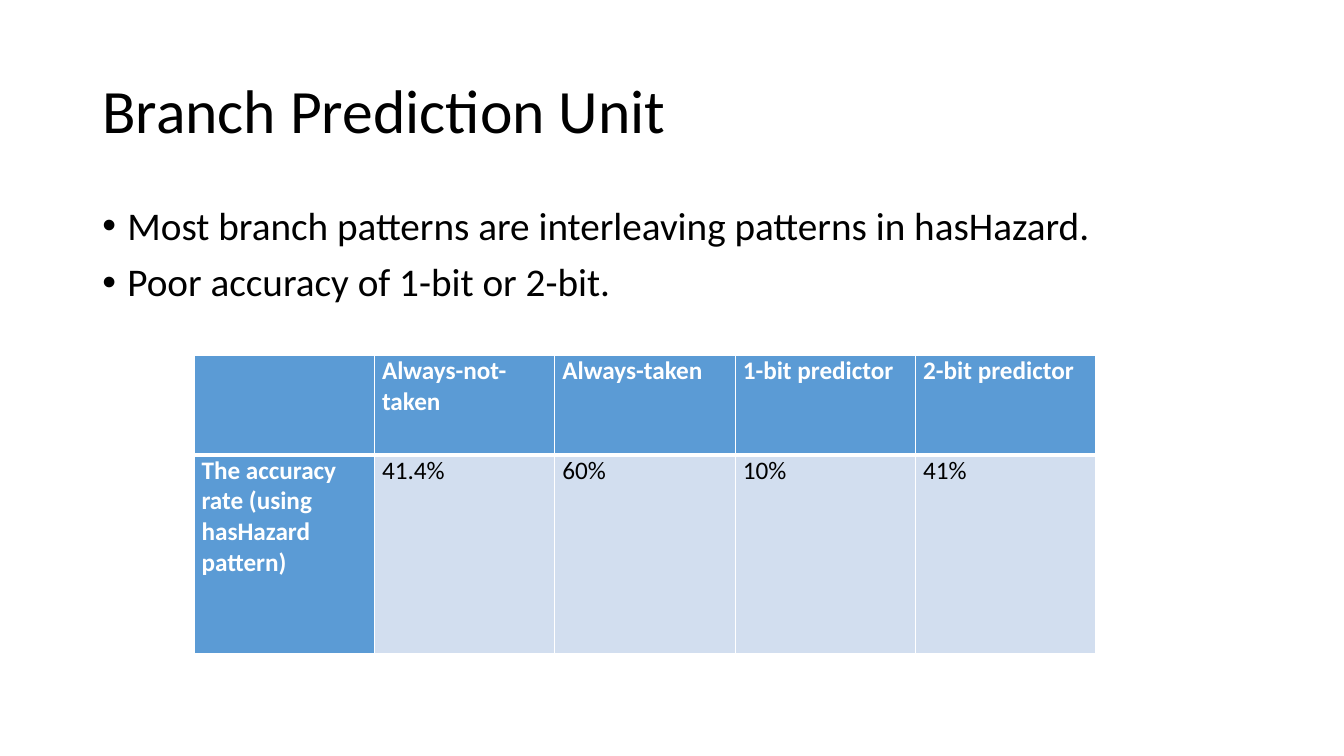
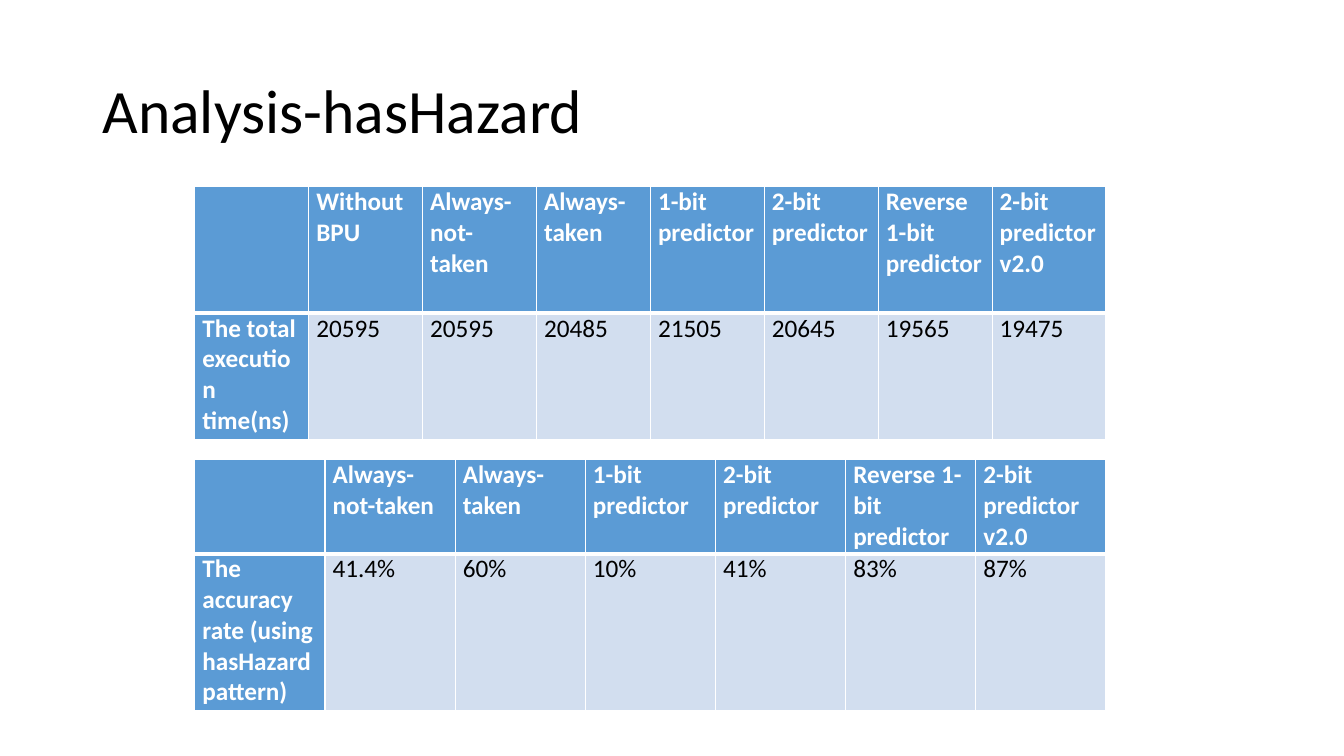
"""Build two slides on branch prediction accuracy and execution time."""
from lxml import etree
from pptx import Presentation
from pptx.dml.color import RGBColor
from pptx.enum.text import MSO_ANCHOR, PP_ALIGN
from pptx.oxml.ns import qn
from pptx.util import Pt

MIDDLE = MSO_ANCHOR.MIDDLE
LEFT = PP_ALIGN.LEFT
FONT = "Calibri"
BLACK, WHITE, BLUE, PALE = "000000", "FFFFFF", "5B9BD5", "D2DEEF"
TITLE_AREA = (66, 28.8, 828, 104.4)
BULLET_AREA = (66, 144, 828, 94.32)
BULLET_INDENT = 18
CELL_MARGIN = 5.4
THIN, THICK = 1, 3

PREDICTORS = ["Always-not-taken", "Always-taken", "1-bit predictor", "2-bit predictor"]
ALL_PREDICTORS = PREDICTORS + ["Reverse 1-bit predictor", "2-bit predictor v2.0"]
ACCURACY_LABEL = "The accuracy rate (using hasHazard pattern)"
ACCURACIES = ["41.4%", "60%", "10%", "41%", "83%", "87%"]
TIMES = ["20595", "20595", "20485", "21505", "20645", "19565", "19475"]

SLIDES = [
    {
        "title": "Branch Prediction Unit",
        "bullets": [
            "Most branch patterns are interleaving patterns in hasHazard.",
            "Poor accuracy of 1-bit or 2-bit.",
        ],
        "tables": [
            ((138.6, 254.16, 644.4), (70.92, 141.84),
             PREDICTORS, ACCURACY_LABEL, ACCURACIES[:4]),
        ],
    },
    {
        "title": "Analysis-hasHazard",
        "bullets": [],
        "tables": [
            ((139.2, 133.2, 650.88), (90.5, 90.5),
             ["Without BPU"] + ALL_PREDICTORS, "The total execution time(ns)", TIMES),
            ((139.2, 328.4, 650.88), (67.3, 112),
             ALL_PREDICTORS, ACCURACY_LABEL, ACCURACIES),
        ],
    },
]


def style_text(para, size, color, bold=False):
    for span in para.runs:
        span.font.name = FONT
        span.font.size = Pt(size)
        span.font.bold = bold
        span.font.color.rgb = RGBColor.from_string(color)


def set_borders(cell, top, bottom):
    properties = cell._tc.get_or_add_tcPr()
    sides = [("a:lnL", THIN), ("a:lnR", THIN), ("a:lnT", top), ("a:lnB", bottom)]
    for position, (tag, width) in enumerate(sides):
        line = etree.Element(qn(tag), w=str(Pt(width)))
        fill = etree.SubElement(line, qn("a:solidFill"))
        etree.SubElement(fill, qn("a:srgbClr"), val=WHITE)
        properties.insert(position, line)


deck = Presentation()
deck.slide_width, deck.slide_height = Pt(960), Pt(540)
title_only = deck.slide_layouts[5]

for content in SLIDES:
    page = deck.slides.add_slide(title_only)
    title = page.shapes.title
    title.left, title.top, title.width, title.height = map(Pt, TITLE_AREA)
    title.text_frame.text = content["title"]
    title.text_frame.vertical_anchor = MIDDLE
    heading = title.text_frame.paragraphs[0]
    heading.alignment = LEFT
    heading.line_spacing = 0.9
    style_text(heading, 44, BLACK)

    if content["bullets"]:
        box = page.shapes.add_textbox(*map(Pt, BULLET_AREA))
        box.text_frame.word_wrap = True
        box.text_frame.text = "\n".join(content["bullets"])
        for para in box.text_frame.paragraphs:
            para.line_spacing = 0.9
            para.space_before = Pt(10)
            style_text(para, 28, BLACK)
            properties = para._p.get_or_add_pPr()
            properties.set("marL", str(Pt(BULLET_INDENT)))
            properties.set("indent", str(-Pt(BULLET_INDENT)))
            etree.SubElement(properties, qn("a:buFont"), typeface="Arial")
            etree.SubElement(properties, qn("a:buChar"), char="•")

    for (left, top, width), heights, headers, label, values in content["tables"]:
        rows = [[""] + headers, [label] + values]
        frame = page.shapes.add_table(
            len(rows), len(rows[0]), Pt(left), Pt(top), Pt(width), Pt(sum(heights)))
        table = frame.table
        table.first_col = True
        table.horz_banding = False
        for column in table.columns:
            column.width = Pt(width / len(rows[0]))
        for row_index, texts in enumerate(rows):
            table.rows[row_index].height = Pt(heights[row_index])
            for column_index, text in enumerate(texts):
                is_header = row_index == 0 or column_index == 0
                cell = table.cell(row_index, column_index)
                cell.margin_left = cell.margin_right = Pt(CELL_MARGIN)
                cell.margin_top = cell.margin_bottom = 0
                cell.fill.solid()
                cell.fill.fore_color.rgb = RGBColor.from_string(BLUE if is_header else PALE)
                if row_index == 0:
                    set_borders(cell, THIN, THICK)
                else:
                    set_borders(cell, THICK, THIN)
                if text:
                    cell.text_frame.text = text
                    style_text(cell.text_frame.paragraphs[0], 18,
                               WHITE if is_header else BLACK, is_header)

deck.save("out.pptx")
